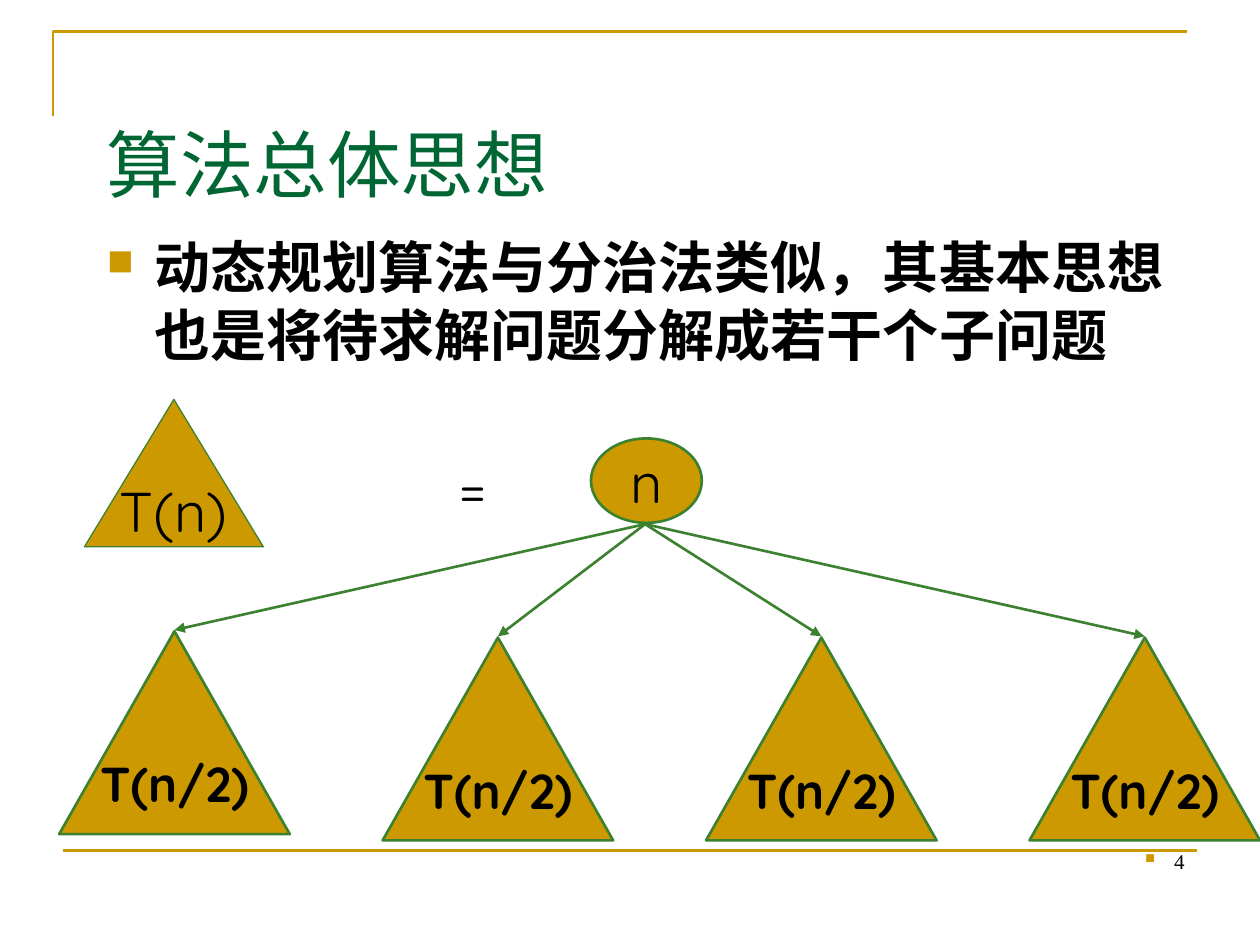
from dataclasses import dataclass

from lxml import etree
from pptx import Presentation
from pptx.dml.color import RGBColor
from pptx.enum.shapes import MSO_CONNECTOR, MSO_SHAPE
from pptx.enum.text import MSO_ANCHOR, PP_ALIGN
from pptx.oxml.ns import qn
from pptx.util import Inches, Pt

LINE = MSO_CONNECTOR.STRAIGHT
TRIANGLE, ELLIPSE = MSO_SHAPE.ISOSCELES_TRIANGLE, MSO_SHAPE.OVAL
TOP, MIDDLE, BOTTOM = MSO_ANCHOR.TOP, MSO_ANCHOR.MIDDLE, MSO_ANCHOR.BOTTOM
LEFT, CENTER, RIGHT = PP_ALIGN.LEFT, PP_ALIGN.CENTER, PP_ALIGN.RIGHT
LATIN, CJK, SERIF = "Quicksand", "Noto Sans CJK SC", "Times New Roman"
COLORS = {"gold": "CC9900", "green": "3B812F", "title": "006633", "text": "000000"}


@dataclass
class Box:
    x: float
    y: float
    w: float
    h: float


@dataclass
class Style:
    size: float
    font: str = LATIN
    bold: bool = False
    color: str = "text"
    align: int = CENTER
    anchor: int = MIDDLE


@dataclass
class Node:
    kind: int
    box: Box
    text: str
    style: Style
    line: float = 1.5


def rgb(name: str) -> RGBColor:
    return RGBColor.from_string(COLORS[name])


def write(sp, text: str, style: Style, wrap: bool):
    tf = sp.text_frame
    tf.word_wrap = wrap
    tf.vertical_anchor = style.anchor
    p = tf.paragraphs[0]
    p.text = text
    p.alignment = style.align
    f = p.font
    f.name, f.size, f.bold = style.font, Pt(style.size), style.bold
    f.color.rgb = rgb(style.color)
    # East Asian typeface
    latin = p._p.pPr.find(qn("a:defRPr")).find(qn("a:latin"))
    ea = etree.Element(qn("a:ea"), typeface=CJK)
    latin.addnext(ea)
    return p


def add_text(s, box: Box, text: str, style: Style):
    sp = s.shapes.add_textbox(*map(Inches, (box.x, box.y, box.w, box.h)))
    return write(sp, text, style, True)


def add_bullet(p, indent: float) -> None:
    pPr = p._p.pPr
    pPr.set("marL", str(Inches(indent)))
    pPr.set("indent", str(-Inches(indent)))
    color = etree.Element(qn("a:buClr"))
    etree.SubElement(color, qn("a:srgbClr"), val=COLORS["gold"])
    size = etree.Element(qn("a:buSzPct"), val="65000")
    char = etree.Element(qn("a:buChar"), char="■")
    end = pPr.find(qn("a:defRPr"))
    for el in (color, size, char):
        end.addprevious(el)


def add_node(s, node: Node) -> None:
    b = node.box
    sp = s.shapes.add_shape(node.kind, *map(Inches, (b.x, b.y, b.w, b.h)))
    sp.shadow.inherit = False
    sp.fill.solid()
    sp.fill.fore_color.rgb = rgb("gold")
    sp.line.color.rgb = rgb("green")
    sp.line.width = Pt(node.line)
    write(sp, node.text, node.style, False)


def add_line(s, x1: float, y1: float, x2: float, y2: float,
             color: str, arrow: bool = False) -> None:
    c = s.shapes.add_connector(LINE, *map(Inches, (x1, y1, x2, y2)))
    c.line.color.rgb = rgb(color)
    c.line.width = Pt(1.5)
    if arrow:
        etree.SubElement(c.line._get_or_add_ln(), qn("a:tailEnd"), type="triangle")
    etree.SubElement(c._element.spPr, qn("a:effectLst"))


def main() -> None:
    prs = Presentation()
    prs.slide_width, prs.slide_height = Inches(10), Inches(7.5)
    s = prs.slides.add_slide(prs.slide_layouts[6])

    # Frame corner and footer rule
    fb = s.shapes.build_freeform(Inches(0.42), Inches(0.92))
    fb.add_line_segments([(Inches(0.42), Inches(0.25)), (Inches(9.42), Inches(0.25))],
                         close=False)
    corner = fb.convert_to_shape()
    corner.shadow.inherit = False
    corner.fill.background()
    corner.line.color.rgb = rgb("gold")
    corner.line.width = Pt(1.5)
    add_line(s, 0.5, 6.75, 9.5, 6.75, "gold")

    # Slide number, body and title
    p = add_text(s, Box(7.17, 6.48, 2.33, 0.5), "4",
                 Style(12, SERIF, align=RIGHT, anchor=BOTTOM))
    add_bullet(p, 0.23)
    p = add_text(s, Box(0.75, 1.8, 8.94, 4.5),
                 "动态规划算法与分治法类似，其基本思想也是将待求解问题分解成若干个子问题",
                 Style(32, CJK, True, align=LEFT, anchor=TOP))
    p.line_spacing = Pt(38.4)
    add_bullet(p, 0.38)
    add_text(s, Box(0.75, 0.67, 8.5, 1.25), "算法总体思想",
             Style(42, SERIF, color="title", align=LEFT))

    # Equation: whole problem = root with subproblems
    big, sub = Style(32), Style(28, bold=True)
    add_node(s, Node(TRIANGLE, Box(0.67, 3.17, 1.42, 1.17), "T(n)", big, 0.75))
    add_text(s, Box(3.17, 3.54, 1.17, 0.63), "=", Style(32, anchor=TOP))
    add_node(s, Node(ELLIPSE, Box(4.69, 3.48, 0.88, 0.67), "n", big))

    # Subproblems, each joined to the root
    width, pitch = 1.83, 2.567
    for i in range(4):
        x, y = 0.47 + i * pitch, 5.01 if i == 0 else 5.06
        add_line(s, 5.12, 4.16, x + width / 2, y - 0.01, "green", arrow=True)
        add_node(s, Node(TRIANGLE, Box(x, y, width, 1.61), "T(n/2)", sub))

    prs.save("out.pptx")


if __name__ == "__main__":
    main()
